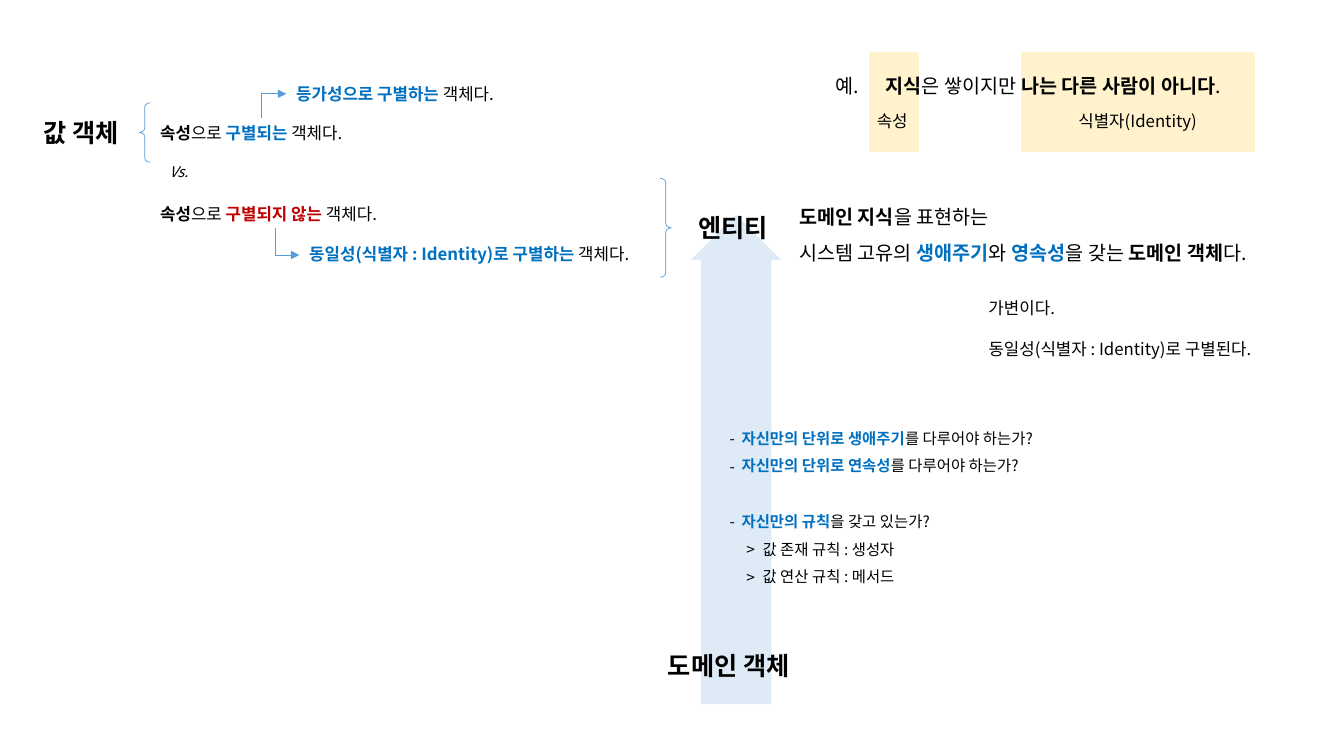
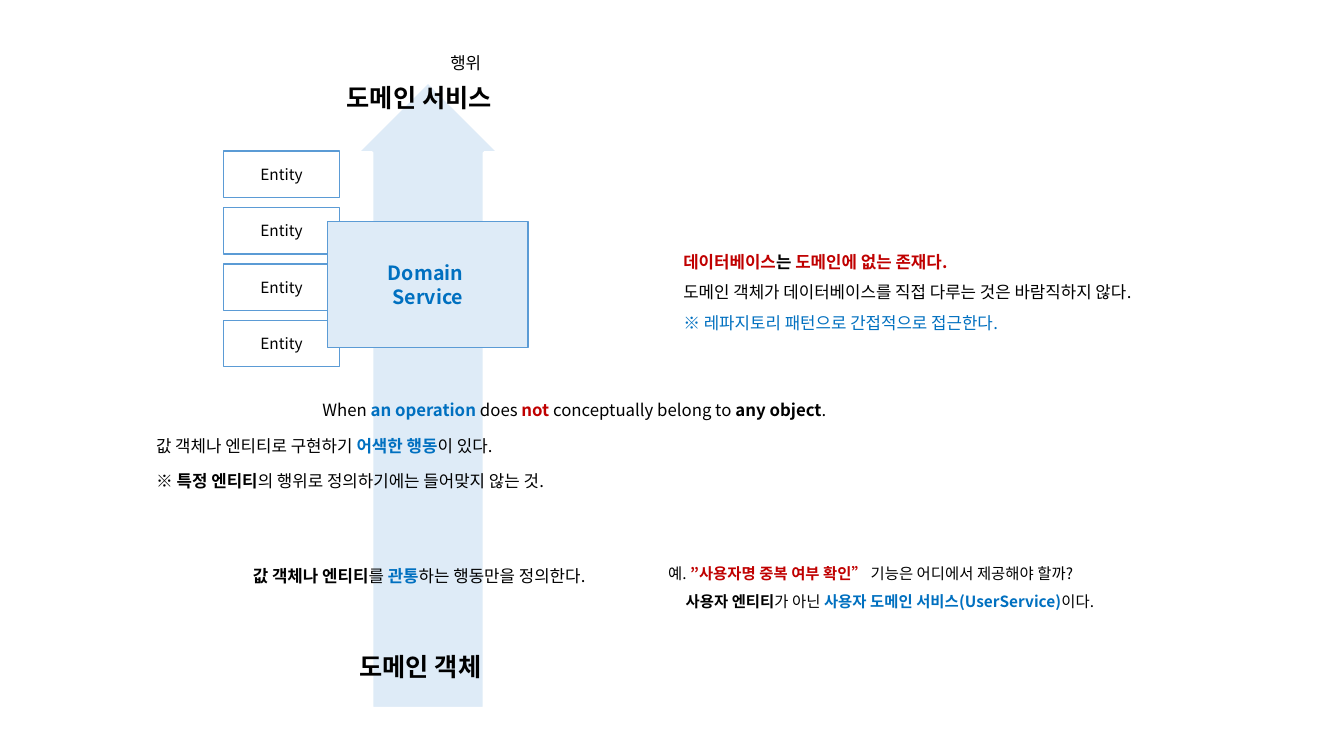
from dataclasses import dataclass

from lxml.etree import SubElement
from pptx import Presentation
from pptx.dml.color import RGBColor
from pptx.enum.shapes import MSO_CONNECTOR, MSO_SHAPE as Preset
from pptx.enum.text import MSO_ANCHOR as Anchor, MSO_AUTO_SIZE as AutoSize, PP_ALIGN as Align
from pptx.oxml.ns import qn
from pptx.util import Pt


@dataclass(frozen=True)
class Theme:
    font: str = "Noto Sans CJK KR"
    black: str = "000000"
    blue: str = "0070C0"
    red: str = "C00000"
    white: str = "FFFFFF"
    outline: str = "5B9BD5"
    pale_blue: str = "DEEBF7"
    pale_yellow: str = "FFF2CC"
    heading: float = 18
    lead: float = 14
    body: float = 12
    small: float = 11
    aside: float = 10.5
    thin: float = 0.5
    normal: float = 1
    thick: float = 2.25
    loose: float = 1.5


@dataclass(frozen=True)
class Ink:
    color: str
    bold: bool = False
    italic: bool = False


@dataclass(frozen=True)
class Para:
    """Runs are plain strings or (words, Ink) pairs; lengths are in points."""
    runs: tuple
    indent: float = 0
    bullet: str = ""
    hang: float = 0
    before: float = 0
    tab: float = 0


THEME = Theme()
PLAIN = Ink(THEME.black)
STRONG = Ink(THEME.black, bold=True)
KEY = Ink(THEME.blue, bold=True)
WARN = Ink(THEME.red, bold=True)
NOTE = Ink(THEME.blue)
ITALIC = Ink(THEME.black, italic=True)


def line(*runs, **layout):
    return Para(runs, **layout)


def add_run(paragraph, words, ink, size):
    run = paragraph.add_run()
    run.text = words
    font = run.font
    font.size, font.bold, font.italic = Pt(size), ink.bold, ink.italic
    font.color.rgb = RGBColor.from_string(ink.color)
    font.name = THEME.font
    SubElement(font._element, qn("a:ea"), typeface=THEME.font)


def set_layout(paragraph, para):
    """Writes indents, bullet and tab stop, which have no public setter."""
    props = paragraph._p.get_or_add_pPr()
    props.set("marL", str(Pt(para.indent)))
    props.set("indent", str(-Pt(para.hang)))
    if para.bullet:
        color = SubElement(props, qn("a:buClr"))
        SubElement(color, qn("a:srgbClr"), val=THEME.black)
        SubElement(props, qn("a:buFont"), typeface=THEME.font)
        SubElement(props, qn("a:buChar"), char=para.bullet)
    if para.tab:
        stops = SubElement(props, qn("a:tabLst"))
        SubElement(stops, qn("a:tab"), pos=str(Pt(para.tab)), algn="l")


def write(frame, paras, size, spacing=1.0, align=Align.LEFT):
    for index, para in enumerate(paras):
        paragraph = frame.add_paragraph() if index else frame.paragraphs[0]
        paragraph.alignment = align
        paragraph.line_spacing = spacing
        paragraph.space_before = Pt(para.before)
        set_layout(paragraph, para)
        for run in para.runs:
            words, ink = (run, PLAIN) if isinstance(run, str) else run
            add_run(paragraph, words, ink, size)


def fit_frame(holder, wrap=False):
    frame = holder.text_frame
    frame.word_wrap = wrap
    frame.auto_size = AutoSize.SHAPE_TO_FIT_TEXT
    frame.vertical_anchor = Anchor.TOP
    return frame


def add_text(slide, box, *paras, size=THEME.body, spacing=1.0, wrap=False):
    label = slide.shapes.add_textbox(*map(Pt, box))
    write(fit_frame(label, wrap), paras, size, spacing)


def fill_placeholder(slide, index, box, *paras, size, spacing=1.0):
    """Moves a placeholder to its box, in front of what is already drawn."""
    holder = slide.placeholders[index]
    holder.left, holder.top, holder.width, holder.height = map(Pt, box)
    write(fit_frame(holder), paras, size, spacing)
    holder._element.getparent().append(holder._element)


def add_panel(slide, preset, box, fill, outline, weight=THEME.normal, adjust=()):
    panel = slide.shapes.add_shape(preset, *map(Pt, box))
    panel.shadow.inherit = False
    if fill:
        panel.fill.solid()
        panel.fill.fore_color.rgb = RGBColor.from_string(fill)
    else:
        panel.fill.background()
    panel.line.color.rgb = RGBColor.from_string(outline)
    panel.line.width = Pt(weight)
    for position, value in enumerate(adjust):
        panel.adjustments[position] = value
    return panel


def add_box(slide, box, fill, size, *paras):
    frame = add_panel(slide, Preset.RECTANGLE, box, fill, THEME.outline).text_frame
    frame.vertical_anchor = Anchor.MIDDLE
    write(frame, paras, size, align=Align.CENTER)


def add_brace(slide, preset, box):
    add_panel(slide, preset, box, None, THEME.outline, THEME.thin, (0.38, 0.5))


def add_corner_arrow(slide, tip, start):
    """One-bend arrow, drawn from its tip back to its start."""
    arrow = slide.shapes.add_connector(MSO_CONNECTOR.ELBOW, *map(Pt, tip + start))
    arrow.line.color.rgb = RGBColor.from_string(THEME.outline)
    arrow.line.width = Pt(THEME.thin)
    props = arrow._element.spPr
    props.find(qn("a:prstGeom")).set("prst", "bentConnector2")
    SubElement(props.find(qn("a:ln")), qn("a:headEnd"), type="triangle")
    SubElement(props, qn("a:effectLst"))


def add_growth_arrow(slide, box, outline, weight):
    add_panel(slide, Preset.UP_ARROW, box, THEME.pale_blue, outline, weight, (0.79, 0.5))


def add_heading(slide, left, top, width, words):
    add_text(slide, (left, top, width, 29), line((words, STRONG)), size=THEME.heading)


def add_title(slide, left, top, width, words):
    fill_placeholder(slide, 0, (left, top, width, 29), line((words, STRONG)),
                     size=THEME.heading)


def build_entity_slide(slide):
    for left, width in ((729.5, 166.5), (621.5, 34.5)):
        add_panel(slide, Preset.RECTANGLE, (left, 37.5, width, 70.5),
                  THEME.pale_yellow, THEME.pale_yellow)
    add_growth_arrow(slide, (494.5, 154, 62.5, 348.5), THEME.pale_blue, THEME.normal)

    add_heading(slide, 23.8, 80.6, 75.6, "값 객체")
    add_brace(slide, Preset.LEFT_BRACE, (99.4, 73.4, 8, 42.5))
    add_brace(slide, Preset.RIGHT_BRACE, (471.6, 127.4, 8, 70.6))
    add_text(slide, (204.5, 56.2, 171.4, 21.6),
             line(("등가성으로 구별하는", KEY), " 객체다."))
    add_text(slide, (107.3, 84.2, 159, 21.6),
             line(("속성", STRONG), "으로 ", ("구별되는", KEY), " 객체다."))
    add_text(slide, (113.8, 113, 29, 21), line(("Vs.", ITALIC)), size=THEME.aside)
    add_text(slide, (107.3, 141.8, 188, 21.6),
             line(("속성", STRONG), "으로 ", ("구별되지 않는", WARN), " 객체다."))
    add_text(slide, (213.8, 170.6, 260, 21.6),
             line(("동일성(식별자 : Identity)로 구별하는", KEY), " 객체다."))
    add_corner_arrow(slide, (204.5, 67), (187, 84.2))
    add_corner_arrow(slide, (213.8, 182.2), (197, 163))

    add_title(slide, 491.8, 148.3, 69, "엔티티")
    add_text(slide, (563.8, 134.6, 372.2, 58.3),
             line(("도메인 지식", STRONG), "을 표현하는"),
             line("시스템 고유의 ", ("생애주기", KEY), "와 ", ("영속성", KEY),
                  "을 갖는 ", ("도메인 객체", STRONG), "다."),
             size=THEME.lead, spacing=THEME.loose)
    add_text(slide, (699, 208.8, 66, 21.6), line("가변이다."))
    add_text(slide, (699, 238.3, 214.6, 21.6),
             line("동일성(식별자 : Identity)로 구별된다."))

    add_text(slide, (589.7, 49, 309.6, 24.5),
             line("예.\t", ("지식", STRONG), "은 쌓이지만 ",
                  ("나는 다른 사람이 아니다", STRONG), ".", tab=30),
             size=THEME.lead)
    add_text(slide, (619.2, 75.6, 38.9, 21.6), line("속성"))
    add_text(slide, (763.2, 75.6, 99.4, 21.6), line("식별자(Identity)"))

    question = dict(bullet="-", indent=8.5, hang=8.5)
    rule = dict(bullet=">", indent=23.5, hang=11.5)
    fill_placeholder(
        slide, 1, (514, 296, 258.5, 127.4),
        line(("자신만의 단위로 생애주기", KEY), "를 다루어야 하는가?", **question),
        line(("자신만의 단위로 연속성", KEY), "를 다루어야 하는가?", **question),
        line(("자신만의 규칙", KEY), "을 갖고 있는가?", before=19.8, **question),
        line("값 존재 규칙 : 생성자", **rule),
        line("값 연산 규칙 : 메서드", **rule),
        size=THEME.small, spacing=THEME.loose)
    add_heading(slide, 470, 460.8, 111.6, "도메인 객체")


def build_service_slide(slide):
    add_growth_arrow(slide, (255, 58.3, 101.5, 447.8), THEME.white, THEME.thick)
    add_text(slide, (314.6, 33.8, 38.9, 21.6), line("행위"))
    add_title(slide, 240.5, 55.4, 130.3, "도메인 서비스")

    for row in range(4):
        add_box(slide, (159.8, 108 + 40.3 * row, 82.8, 33.1), THEME.white,
                THEME.small, line("Entity"))
    add_box(slide, (234, 158.4, 143.3, 90), THEME.pale_blue, THEME.lead,
            line(("Domain ", KEY)), line(("Service", KEY)))

    add_text(slide, (481, 169.2, 374.4, 72.7),
             line(("데이터베이스", WARN), ("는 ", STRONG), ("도메인에 없는 존재다.", WARN)),
             line("도메인 객체가 데이터베이스를 직접 다루는 것은 바람직하지 않다."),
             line(("※ 레파지토리 패턴으로 간접적으로 접근한다.", NOTE)),
             spacing=THEME.loose)
    add_text(slide, (223.2, 282.2, 386, 21.6),
             line("When ", ("an operation ", KEY), "does ", ("not", WARN),
                  " conceptually belong to ", ("any object", STRONG), "."),
             wrap=True)
    add_text(slide, (104.4, 307.4, 285, 21.6),
             line("값 객체나 엔티티로 구현하기 ", ("어색한 행동", KEY), "이 있다."))
    add_text(slide, (104.4, 332.6, 322, 21.6),
             line(("※ 특정 엔티티", STRONG), "의 행위로 정의하기에는 들어맞지 않는 것."))
    add_text(slide, (173.5, 393.1, 280.8, 28.8),
             line(("값 객체나 엔티티", STRONG), "를 ", ("관통", KEY),
                  "하는 행동만을 정의한다."),
             spacing=THEME.loose)
    add_text(slide, (470.2, 393.1, 362.9, 47.5),
             line("예. ", ("”사용자명 중복 여부 확인”", WARN),
                  " 기능은 어디에서 제공해야 할까?"),
             line(("사용자 엔티티", STRONG), "가 아닌 ",
                  ("사용자 도메인 서비스(UserService)", KEY), "이다.", indent=12.5),
             size=THEME.small, spacing=THEME.loose)
    add_heading(slide, 249.8, 461.5, 111.6, "도메인 객체")


def main():
    deck = Presentation()
    deck.slide_width, deck.slide_height = Pt(960), Pt(540)
    title_and_content, title_only = deck.slide_layouts[1], deck.slide_layouts[5]
    build_entity_slide(deck.slides.add_slide(title_and_content))
    build_service_slide(deck.slides.add_slide(title_only))
    deck.save("out.pptx")


if __name__ == "__main__":
    main()
